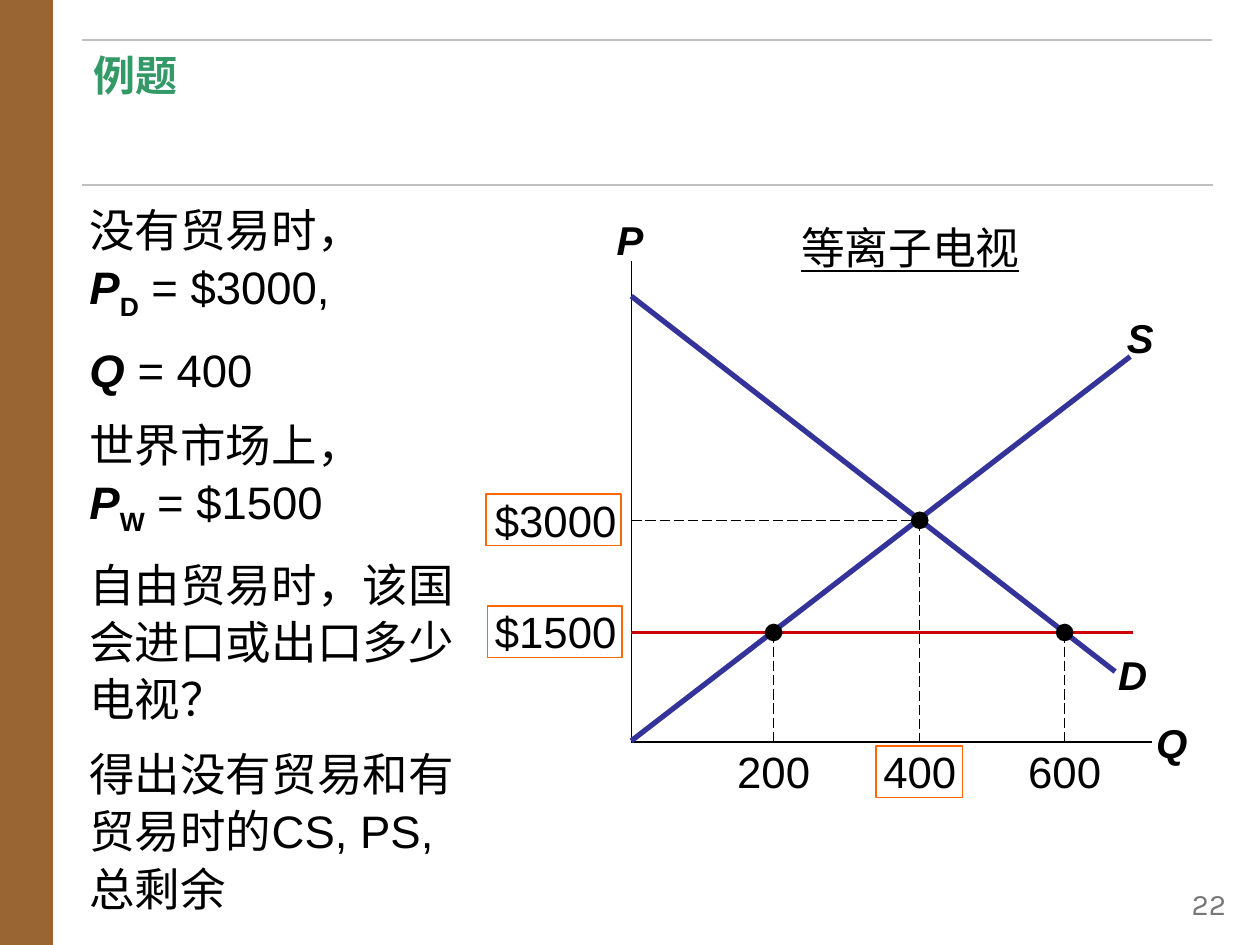
from typing import NamedTuple

from lxml.etree import SubElement
from pptx import Presentation
from pptx.dml.color import RGBColor
from pptx.enum.dml import MSO_LINE
from pptx.enum.shapes import MSO_CONNECTOR, MSO_SHAPE
from pptx.enum.text import MSO_ANCHOR, MSO_AUTO_SIZE, PP_ALIGN
from pptx.oxml.ns import qn
from pptx.util import Inches, Pt

BLACK = RGBColor(0x00, 0x00, 0x00)
BROWN = RGBColor(0x99, 0x66, 0x33)
GREEN = RGBColor(0x33, 0x99, 0x66)
SILVER = RGBColor(0xC0, 0xC0, 0xC0)
GRAY = RGBColor(0x77, 0x77, 0x77)
INDIGO = RGBColor(0x33, 0x33, 0x99)
RED = RGBColor(0xCC, 0x00, 0x00)
ORANGE = RGBColor(0xFF, 0x66, 0x00)

AXIS_X, AXIS_Y = 5.01, 5.89
HOME_PRICE, WORLD_PRICE = 4.13, 5.02
DOT = 0.14


class Line(NamedTuple):
    start: tuple[float, float]
    end: tuple[float, float]
    color: RGBColor = BLACK
    width: float = 0.75
    dashed: bool = False


class Label(NamedTuple):
    text: str
    left: float
    top: float
    width: float
    height: float = 0.42
    size: float = 25
    align: PP_ALIGN = PP_ALIGN.CENTER
    right_inset: float = 0
    font: str = "Arial"
    color: RGBColor = BLACK
    bold_italic: bool = False
    underline: bool = False


class Span(NamedTuple):
    text: str
    bold: bool = False
    italic: bool = False
    subscript: bool = False


def letter(text: str, left: float, top: float) -> Label:
    return Label(text, left, top, 0.4, 0.48, size=23, bold_italic=True)


def price(text: str, top: float) -> Label:
    return Label(text, 3.85, top, 1.14, align=PP_ALIGN.RIGHT, right_inset=0.1)


def inches(*values: float) -> list[Inches]:
    return [Inches(value) for value in values]


def draw_line(page, line: Line) -> None:
    connector = page.shapes.add_connector(
        MSO_CONNECTOR.STRAIGHT, *inches(*line.start, *line.end))
    connector.line.color.rgb = line.color
    connector.line.width = Pt(line.width)
    if line.dashed:
        connector.line.dash_style = MSO_LINE.LONG_DASH
    SubElement(connector._element.spPr, qn("a:effectLst"))


def draw_shape(page, kind: MSO_SHAPE, bounds: tuple, fill: RGBColor | None = None,
               outline: RGBColor | None = None) -> None:
    shape = page.shapes.add_shape(kind, *inches(*bounds))
    shape.shadow.inherit = False
    if fill is None:
        shape.fill.background()
    else:
        shape.fill.solid()
        shape.fill.fore_color.rgb = fill
    if outline is None:
        shape.line.fill.background()
    else:
        shape.line.color.rgb = outline
        shape.line.width = Pt(1)


def draw_label(page, label: Label) -> None:
    box = page.shapes.add_textbox(
        *inches(label.left, label.top, label.width, label.height))
    frame = box.text_frame
    frame.word_wrap = True
    frame.vertical_anchor = MSO_ANCHOR.MIDDLE
    frame.margin_left = frame.margin_top = frame.margin_bottom = 0
    frame.margin_right = Inches(label.right_inset)
    para = frame.paragraphs[0]
    para.text = label.text
    para.alignment = label.align
    font = para.font
    font.name, font.size = label.font, Pt(label.size)
    font.color.rgb = label.color
    font.bold = font.italic = label.bold_italic
    font.underline = label.underline


def place(shape, bounds: tuple) -> None:
    shape.left, shape.top, shape.width, shape.height = inches(*bounds)
    shape.text_frame.auto_size = MSO_AUTO_SIZE.NONE
    shape.text_frame.vertical_anchor = MSO_ANCHOR.TOP


def write_title(page, text: str) -> None:
    title = page.shapes.title
    place(title, (0.64, 0.39, 8.98, 1.04))
    title.text_frame.margin_top = title.text_frame.margin_bottom = 0
    para = title.text_frame.paragraphs[0]
    para.text = text
    para.alignment = PP_ALIGN.LEFT
    para.font.name, para.font.size, para.font.bold = "Karla", Pt(24), True
    para.font.color.rgb = GREEN


def write_body(page, paragraphs: list[list[Span]]) -> None:
    body = page.placeholders[1]
    place(body, (0.61, 1.53, 3.2, 5.77))
    for index, spans in enumerate(paragraphs):
        frame = body.text_frame
        para = frame.add_paragraph() if index else frame.paragraphs[0]
        properties = para._p.get_or_add_pPr()
        properties.set("marL", "0")
        properties.set("indent", "0")
        SubElement(properties, qn("a:buNone"))
        para.line_spacing = 1.05
        para.space_before = Pt(10 if index else 0)
        para.font.name, para.font.size = "Arial", Pt(26)
        para.font.color.rgb = BLACK
        for span in spans:
            if span.text == "\n":
                para.add_line_break()
                continue
            run = para.add_run()
            run.text = span.text
            run.font.size = Pt(26)
            run.font.bold, run.font.italic = span.bold, span.italic
            if span.subscript:
                run.font._element.set("baseline", "-25000")


def price_lines(intro: str, market: str, amount: str) -> list[Span]:
    return [Span(intro), Span("\n"), Span("P", bold=True, italic=True),
            Span(market, bold=True, subscript=True), Span(amount)]


BODY = [
    price_lines("没有贸易时，", "D", " = $3000,"),
    [Span("Q", bold=True, italic=True), Span(" = 400")],
    price_lines("世界市场上，", "W", " = $1500"),
    [Span("自由贸易时，该国会进口或出口多少电视？")],
    [Span("得出没有贸易和有贸易时的CS, PS, 总剩余")],
]
# Quantity, x and y of each marked point
POINTS = [("200", 6.14, WORLD_PRICE), ("400", 7.3, HOME_PRICE),
          ("600", 8.45, WORLD_PRICE)]
LINES = [
    Line((0.65, 1.47), (9.63, 1.47), SILVER, 1),
    Line((0.65, 0.32), (9.62, 0.32), SILVER, 1),
    Line((AXIS_X, 2.07), (AXIS_X, AXIS_Y)),
    Line((AXIS_X, AXIS_Y), (9.14, AXIS_Y)),
    Line((AXIS_X, 2.35), (8.85, 5.33), INDIGO, 3),
    Line((AXIS_X, 5.88), (8.97, 2.83), INDIGO, 3),
    Line((AXIS_X, WORLD_PRICE), (8.99, WORLD_PRICE), RED, 2.25),
    Line((AXIS_X, HOME_PRICE), (7.3, HOME_PRICE), dashed=True),
]
LABELS = [
    letter("P", 4.8, 1.66), letter("Q", 9.1, 5.65),
    letter("D", 8.79, 5.11), letter("S", 8.85, 2.44),
    price("$3000", 3.92), price("$1500", 4.8),
    Label("等离子电视", 6.18, 1.75, 2.09, underline=True),
    Label("22", 9.08, 6.97, 0.75, 0.4, 17, PP_ALIGN.RIGHT, 0.1, "Karla", GRAY),
]
FRAMES = [(6.95, 5.92, 0.69, 0.41), (3.86, 3.92, 1.07, 0.41),
          (3.87, 4.81, 1.07, 0.41)]


def main() -> None:
    deck = Presentation()
    deck.slide_width, deck.slide_height = inches(10, 7.5)
    page = deck.slides.add_slide(deck.slide_layouts[1])

    # Side band and text
    draw_shape(page, MSO_SHAPE.RECTANGLE, (0, 0, 0.42, 7.5), fill=BROWN)
    write_title(page, "例题")
    write_body(page, BODY)

    # Rules, axes and curves
    for line in LINES:
        draw_line(page, line)

    # Marked points with their quantities
    for quantity, x, y in POINTS:
        draw_line(page, Line((x, y), (x, AXIS_Y), dashed=True))
        draw_shape(page, MSO_SHAPE.OVAL,
                   (x - DOT / 2, y - DOT / 2, DOT, DOT), fill=BLACK)
        draw_label(page, Label(quantity, x - 0.4, 5.91, 0.8))

    # Labels and highlight frames
    for label in LABELS:
        draw_label(page, label)
    for bounds in FRAMES:
        draw_shape(page, MSO_SHAPE.RECTANGLE, bounds, outline=ORANGE)

    deck.save("out.pptx")


if __name__ == "__main__":
    main()
